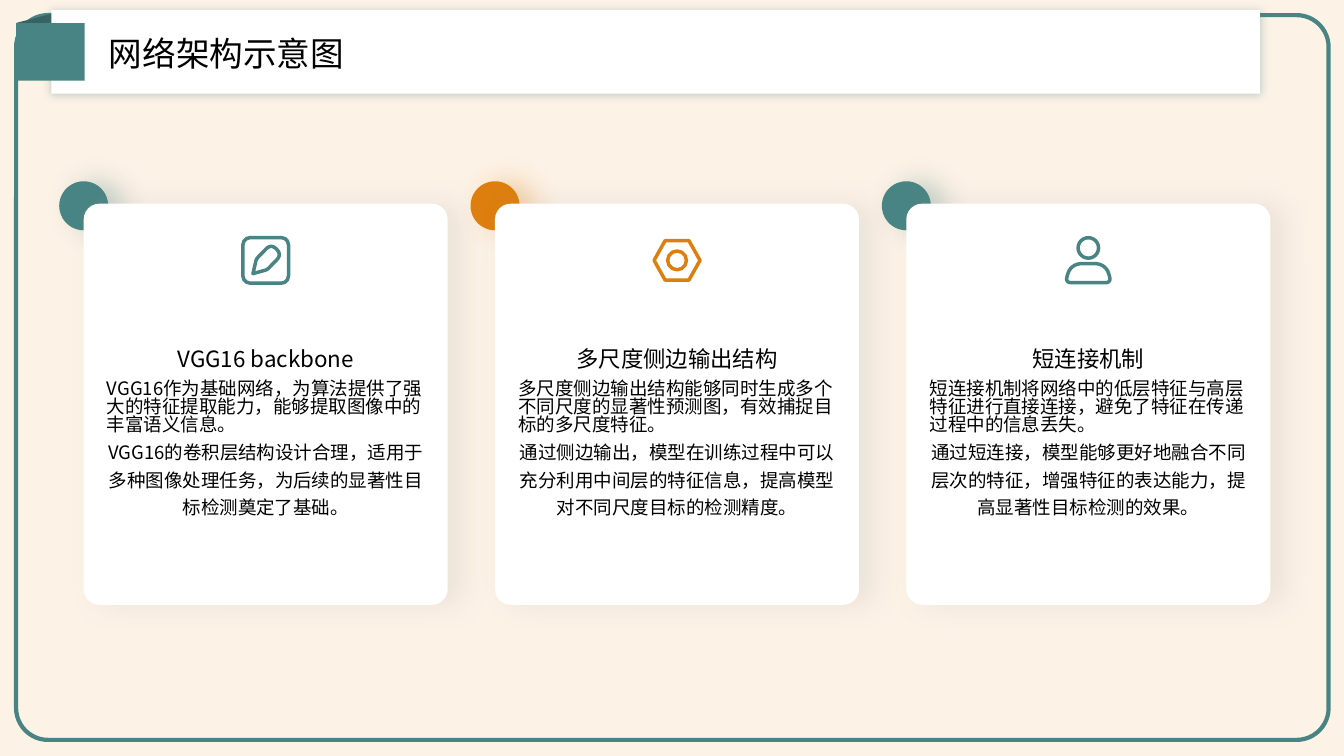
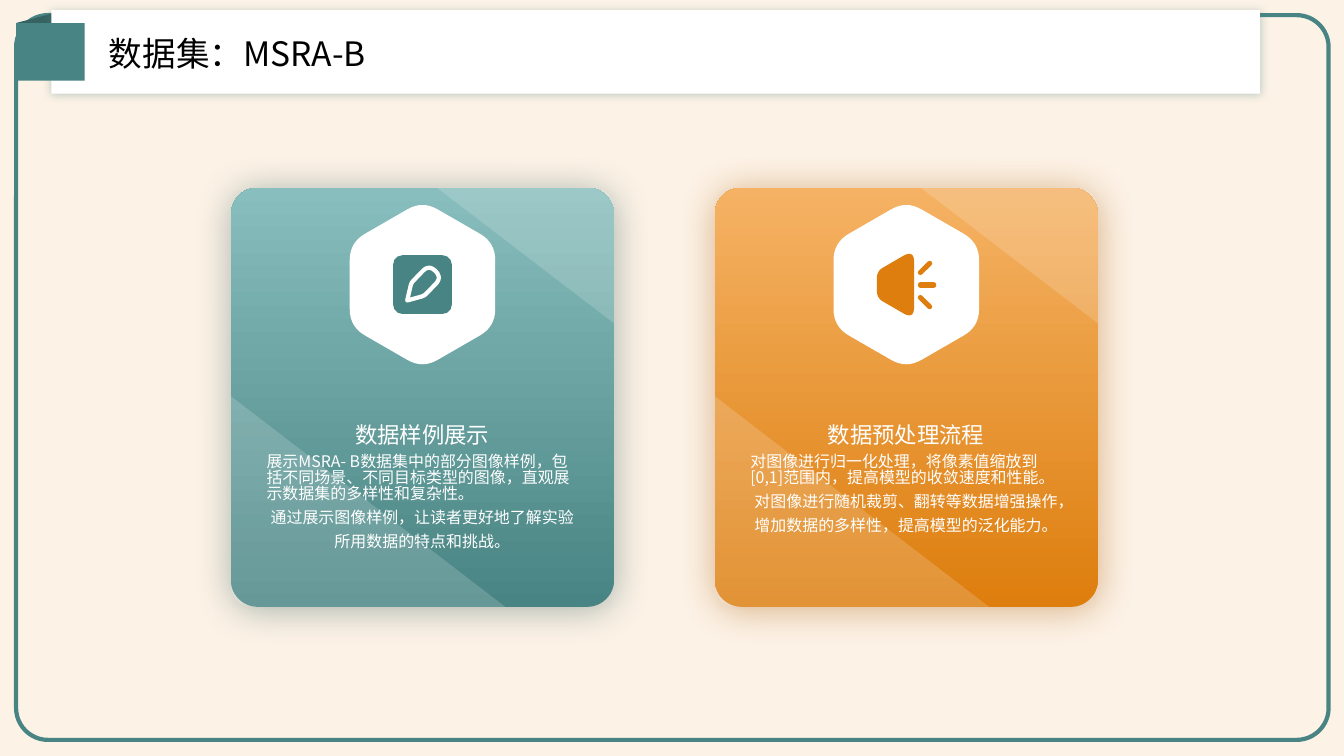
from math import cos, hypot, pi, sin

from lxml import etree
from pptx import Presentation
from pptx.dml.color import RGBColor
from pptx.enum import shapes, text
from pptx.oxml import ns
from pptx.util import Pt

TEAL = RGBColor(0x48, 0x84, 0x83)
DEEP = RGBColor(0x36, 0x63, 0x62)
PALE = RGBColor(0x88, 0xBE, 0xBD)
ORANGE = RGBColor(0xDD, 0x7E, 0x0E)
RUST = RGBColor(0xA6, 0x5E, 0x0B)
PEACH = RGBColor(0xF5, 0xB2, 0x64)
CREAM = RGBColor(0xFD, 0xF2, 0xE6)
GREY = RGBColor(0xA6, 0xA6, 0xA6)
WHITE = RGBColor(0xFF, 0xFF, 0xFF)
BLACK = RGBColor(0, 0, 0)
FONT = "Noto Sans CJK SC"
KIND = shapes.MSO_SHAPE
ALIGN = text.PP_ALIGN
ANCHOR = text.MSO_ANCHOR


def sub(node, tag, **attrs):
    return etree.SubElement(node, ns.qn(tag), {k: str(v) for k, v in attrs.items()})


def bend(corners):
    dots = []
    for i, (x, y, r) in enumerate(corners):
        if not r:
            dots.append((x, y))
            continue
        ends = []
        for a, b, _ in (corners[i - 1], corners[(i + 1) % len(corners)]):
            part = r / hypot(a - x, b - y)
            ends.append((x + (a - x) * part, y + (b - y) * part))
        (ax, ay), (bx, by) = ends
        for step in range(9):
            t = step / 8
            s = 1 - t
            dots.append((s * s * ax + 2 * s * t * x + t * t * bx,
                         s * s * ay + 2 * s * t * y + t * t * by))
    return dots


class Deck:
    def __init__(self):
        self.file = Presentation()
        self.file.slide_width, self.file.slide_height = Pt(960), Pt(540)
        self.slide = None

    def page(self, title):
        self.slide = self.file.slides.add_slide(self.file.slide_layouts[5])
        back = self.slide.background.fill
        back.solid()
        back.fore_color.rgb = CREAM
        self.shape(KIND.ROUNDED_RECTANGLE, 11.5, 10.8, 937.5, 517.7,
                   line=TEAL, width=3, adj=0.044)
        fold = self.shape(KIND.RECTANGLE, 15.8, 11.5, 33.8, 33.8, DEEP)
        fold.rotation = 345.4
        bar = self.shape(KIND.RECTANGLE, 36.7, 7.2, 863.3, 59.8, WHITE)
        self.shade(bar, TEAL, 36, 7, 0, 0)
        head = self.slide.shapes.title
        bar.element.addnext(head.element)
        head.left, head.top, head.width, head.height = Pt(77.8), Pt(17.3), Pt(612.7), Pt(38.9)
        self.words(head, [(title, ALIGN.LEFT, 1.1)], 24, BLACK, ANCHOR.MIDDLE)
        self.shape(KIND.RECTANGLE, 11.5, 16.6, 49, 41, TEAL)

    def paint(self, item, fill, line, width):
        item.shadow.inherit = False
        if fill is None:
            item.fill.background()
        else:
            item.fill.solid()
            item.fill.fore_color.rgb = fill
        if line is None:
            item.line.fill.background()
        else:
            item.line.color.rgb = line
            item.line.width = Pt(width)
        return item

    def shape(self, kind, x, y, w, h, fill=None, line=None, width=2.5, adj=None):
        item = self.slide.shapes.add_shape(kind, Pt(x), Pt(y), Pt(w), Pt(h))
        if adj is not None:
            item.adjustments[0] = adj
        return self.paint(item, fill, line, width)

    def poly(self, x, y, corners, fill=None, line=None, width=2.5, alpha=None):
        dots = [(Pt(x + a), Pt(y + b)) for a, b in bend(corners)]
        form = self.slide.shapes.build_freeform(*dots[0])
        form.add_line_segments(dots[1:], close=True)
        item = self.paint(form.convert_to_shape(), fill, line, width)
        if alpha:
            tint = item.element.spPr.find(ns.qn("a:solidFill"))[0]
            sub(tint, "a:alpha", val=alpha * 1000)
        return item

    def shade(self, item, color, alpha, blur, dist, turn):
        glow = item.element.spPr.find(ns.qn("a:effectLst"))
        cast = sub(glow, "a:outerShdw", blurRad=Pt(blur), dist=Pt(dist),
                   dir=turn * 60000, algn="ctr", rotWithShape=0)
        sub(sub(cast, "a:srgbClr", val=color), "a:alpha", val=alpha * 1000)

    def ray(self, ax, ay, bx, by, color):
        item = self.slide.shapes.add_connector(
            shapes.MSO_CONNECTOR.STRAIGHT, Pt(ax), Pt(ay), Pt(bx), Pt(by))
        item.line.color.rgb = color
        item.line.width = Pt(3.6)
        item.element.spPr.find(ns.qn("a:ln")).set("cap", "rnd")
        sub(item.element.spPr, "a:effectLst")

    def words(self, item, paras, size, color, anchor, pad=(0, 0)):
        frame = item.text_frame
        frame.word_wrap = True
        frame.auto_size = text.MSO_AUTO_SIZE.NONE
        frame.vertical_anchor = anchor
        frame.margin_left = frame.margin_right = Pt(pad[0])
        frame.margin_top = frame.margin_bottom = Pt(pad[1])
        for i, (line, align, space) in enumerate(paras):
            para = frame.add_paragraph() if i else frame.paragraphs[0]
            para.alignment, para.line_spacing = align, space
            run = para.add_run()
            run.text = line
            run.font.size, run.font.name = Pt(size), FONT
            run.font.color.rgb = color
        for node in item.element.iter(ns.qn("a:rPr")):
            sub(node, "a:ea", typeface=FONT)

    def label(self, x, y, w, h, *style):
        box = self.slide.shapes.add_textbox(Pt(x), Pt(y), Pt(w), Pt(h))
        self.words(box, *style)

    def topic(self, x, y, w, h, line, color, pad=(0, 0)):
        self.label(x, y, w, h, [(line, ALIGN.CENTER, 1.3)], 16, color, ANCHOR.BOTTOM, pad)

    def body(self, x, y, w, h, first, second, size, color, pad=(0, 0)):
        paras = [(first, ALIGN.LEFT, 0.82), (second, ALIGN.CENTER, 1.25)]
        self.label(x, y, w, h, paras, size, color, ANCHOR.TOP, pad)

    def pen(self, x, y, size, color, width):
        tips = [(0.24, 0.77, 0), (0.31, 0.47, 0.05), (0.61, 0.16, 0.15),
                (0.83, 0.38, 0.15), (0.53, 0.69, 0.05)]
        self.poly(x, y, [(a * size, b * size, r * size) for a, b, r in tips],
                  line=color, width=width)

    def ring(self, x, y, r, color):
        self.shape(KIND.OVAL, x - r, y - r, 2 * r, 2 * r, line=color)

    def note(self, mid, y, color):
        self.shape(KIND.ROUNDED_RECTANGLE, mid - 16.3, y + 1.2, 32.6, 32.6,
                   line=color, adj=0.16)
        self.pen(mid - 17.5, y, 35, color, 2.5)

    def nut(self, mid, y, color):
        self.shape(KIND.HEXAGON, mid - 16.4, y + 3.4, 32.8, 28.2, line=color, adj=0.28)
        self.ring(mid, y + 17.5, 6.7, color)

    def user(self, mid, y, color):
        self.ring(mid, y + 8.6, 7.3, color)
        self.poly(mid, y, [(-16.2, 33.4, 4), (-13, 19.8, 9), (13, 19.8, 9), (16.2, 33.4, 4)],
                  line=color)

    def badge(self, mid, y, color):
        self.shape(KIND.ROUNDED_RECTANGLE, mid - 21, y - 21, 42, 42, color, adj=0.16)
        self.pen(mid - 21, y - 21, 42, WHITE, 3)

    def horn(self, mid, y, color):
        self.poly(mid - 21, y, [(0, -9.6, 5), (26.6, -25, 9), (26.6, 25, 9), (0, 9.6, 5)], color)
        for near, far, reach in ((-8.6, -15.2, 16.7), (0.3, 0.3, 19.6), (9.2, 15.8, 16.7)):
            self.ray(mid + 10, y + near, mid + reach, y + far, color)

    def card(self, x, color, icon, topic, first, second):
        y, w = 145.5, 260
        dot = self.shape(KIND.OVAL, x - 17.5, 129.5, 35, 35, color)
        self.shade(dot, color, 32, 20, 10, 0)
        base = self.shape(KIND.ROUNDED_RECTANGLE, x, y, w, 286.5, WHITE, adj=0.043)
        self.shade(base, GREY, 20, 20, 10, 0)
        icon(x + w / 2, 168.5, color)
        self.topic(x + 16.6, 208.8, 226.8, 56.9, topic, BLACK)
        self.body(x + 16.6, 272.2, 226.8, 119.5, first, second, 13.2, BLACK)

    def panel(self, x, color, light, dark, icon, topic, first, second):
        y, w, h = 134, 273.6, 299.5
        base = self.shape(KIND.ROUNDED_RECTANGLE, x, y, w, h, color, adj=0.07)
        base.fill.gradient()
        base.fill.gradient_angle = 90
        for stop, tone in zip(base.fill.gradient_stops, (color, light)):
            stop.color.rgb = tone
        self.shade(base, dark, 43, 26, 2, 90)
        for facet in ([(0, 149, 0), (196, h, 0), (0, h, 17)],
                      [(147, 0, 0), (w, 0, 17), (w, 97, 0)]):
            self.poly(x, y, facet, WHITE, alpha=17)
        mid, level = x + w / 2, 203.3
        turns = [pi / 6 + i * pi / 3 for i in range(6)]
        self.poly(mid, level, [(60 * cos(t), 60 * sin(t), 12.5) for t in turns], WHITE)
        icon(mid, level, color)
        self.topic(x + 18.3, 270.7, 236.6, 52.6, topic, WHITE, (7.2, 3.6))
        self.body(x + 18.3, 321.8, 236.6, 100.8, first, second, 11.4, WHITE, (7.2, 3.6))


def main():
    deck = Deck()
    deck.page("网络架构示意图")
    cards = [
        (TEAL, deck.note, "VGG16 backbone",
         "VGG16作为基础网络，为算法提供了强大的特征提取能力，能够提取图像中的丰富语义信息。",
         "VGG16的卷积层结构设计合理，适用于多种图像处理任务，为后续的显著性目标检测奠定了基础。"),
        (ORANGE, deck.nut, "多尺度侧边输出结构",
         "多尺度侧边输出结构能够同时生成多个不同尺度的显著性预测图，有效捕捉目标的多尺度特征。",
         "通过侧边输出，模型在训练过程中可以充分利用中间层的特征信息，提高模型对不同尺度目标的检测精度。"),
        (TEAL, deck.user, "短连接机制",
         "短连接机制将网络中的低层特征与高层特征进行直接连接，避免了特征在传递过程中的信息丢失。",
         "通过短连接，模型能够更好地融合不同层次的特征，增强特征的表达能力，提高显著性目标检测的效果。"),
    ]
    for i, card in enumerate(cards):
        deck.card(59.8 + 293.8 * i, *card)

    deck.page("数据集：MSRA-B")
    panels = [
        (TEAL, PALE, DEEP, deck.badge, "数据样例展示",
         "展示MSRA- B数据集中的部分图像样例，包括不同场景、不同目标类型的图像，直观展示数据集的多样性和复杂性。",
         "通过展示图像样例，让读者更好地了解实验所用数据的特点和挑战。"),
        (ORANGE, PEACH, RUST, deck.horn, "数据预处理流程",
         "对图像进行归一化处理，将像素值缩放到[0,1]范围内，提高模型的收敛速度和性能。",
         "对图像进行随机裁剪、翻转等数据增强操作，增加数据的多样性，提高模型的泛化能力。"),
    ]
    for i, panel in enumerate(panels):
        deck.panel(165 + 345.6 * i, *panel)
    deck.file.save("out.pptx")


if __name__ == "__main__":
    main()
